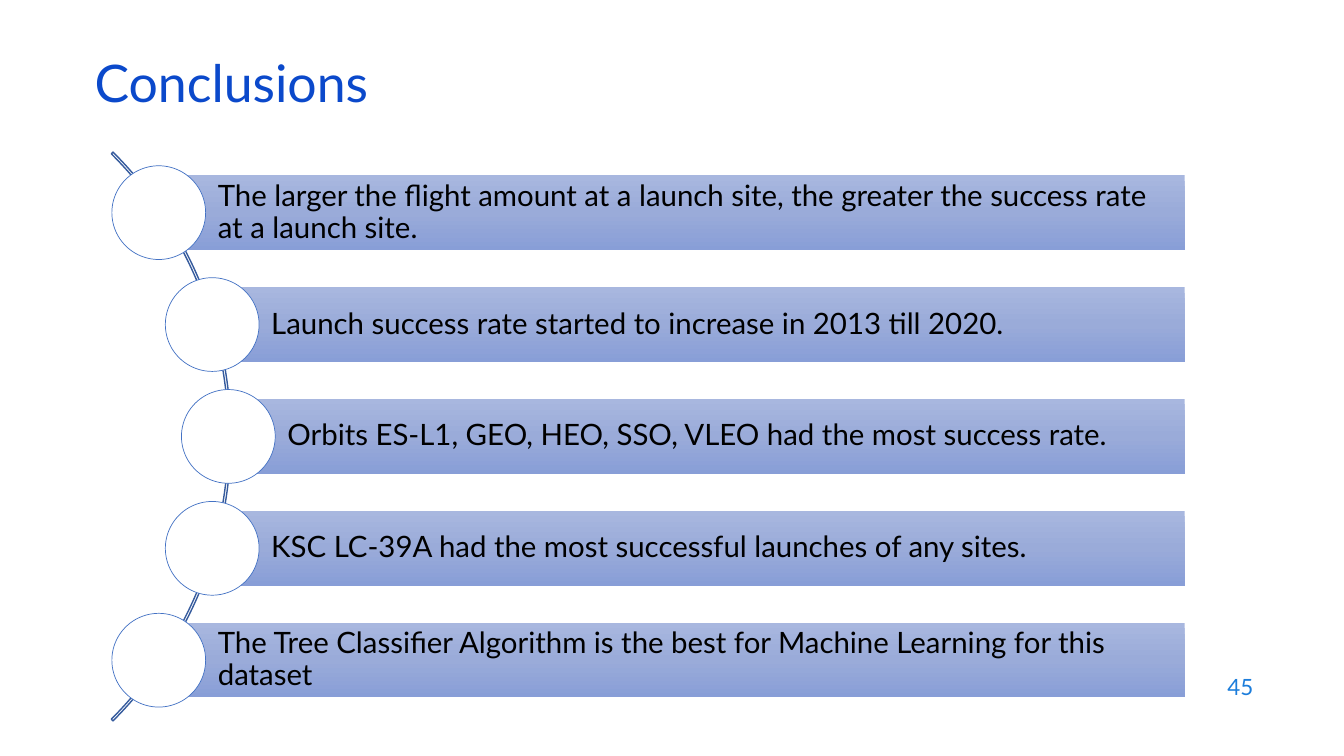
from copy import deepcopy
from typing import NamedTuple

from pptx import Presentation
from pptx.dml.color import RGBColor
from pptx.enum.shapes import MSO_SHAPE as SHAPE
from pptx.enum.text import MSO_ANCHOR as ANCHOR, PP_ALIGN as ALIGN
from pptx.oxml.ns import qn
from pptx.util import Inches, Pt

TITLE_BLUE = RGBColor(0x0B, 0x49, 0xCB)
NUMBER_BLUE = RGBColor(0x1C, 0x7D, 0xDB)
ARC_BLUE = RGBColor(0x36, 0x5B, 0x9D)
RING_BLUE = RGBColor(0x44, 0x72, 0xC4)
BAR_TOP = RGBColor(0xA8, 0xB7, 0xDF)
BAR_MIDDLE = RGBColor(0x9A, 0xAB, 0xD9)
BAR_BOTTOM = RGBColor(0x88, 0x9E, 0xD7)
WHITE = RGBColor(0xFF, 0xFF, 0xFF)
BLACK = RGBColor(0, 0, 0)

FONT = "Lato"
BAR_RIGHT, BAR_HEIGHT = 11.75, 0.74
FIRST_BAR, ROW_STEP = 1.74, 1.11
CIRCLE = 0.93
CIRCLE_OFFSET = 0.46  # circle's left edge, measured back from the bar


class Conclusion(NamedTuple):
    left: float
    text: str


CONCLUSIONS = [
    Conclusion(1.57, "The larger the flight amount at a launch site, "
                     "the greater the success rate at a launch site."),
    Conclusion(2.1, "Launch success rate started to increase in 2013 till 2020."),
    Conclusion(2.26, "Orbits ES-L1, GEO, HEO, SSO, VLEO had the most success rate."),
    Conclusion(2.1, "KSC LC-39A had the most successful launches of any sites."),
    Conclusion(1.57, "The Tree Classifier Algorithm is the best for "
                     "Machine Learning for this dataset"),
]


def set_text(s, text: str, size: float, color: RGBColor, spacing: float = 1.0,
             align=ALIGN.LEFT, **frame_format) -> None:
    tf = s.text_frame
    frame_format = {"word_wrap": True, "vertical_anchor": ANCHOR.MIDDLE, **frame_format}
    for name, value in frame_format.items():
        setattr(tf, name, value)
    p = tf.paragraphs[0]
    p.alignment, p.line_spacing = align, spacing
    r = p.add_run()
    r.text = text
    for name, value in {"name": FONT, "size": Pt(size)}.items():
        setattr(r.font, name, value)
    r.font.color.rgb = color


def add_shape(slide, kind, left: float, top: float, width: float, height: float):
    s = slide.shapes.add_shape(kind, *map(Inches, (left, top, width, height)))
    s.shadow.inherit = False
    return s


def set_line(s, color: RGBColor, width: float) -> None:
    s.line.color.rgb = color
    s.line.width = Pt(width)


def fill_gradient(s) -> None:
    fill = s.fill
    fill.gradient()
    fill.gradient_angle = 270
    stops = s._element.spPr.find(qn("a:gradFill")).find(qn("a:gsLst"))
    stops.insert(1, deepcopy(stops[0]))
    colors = (BAR_TOP, BAR_MIDDLE, BAR_BOTTOM)
    for i, (stop, color) in enumerate(zip(fill.gradient_stops, colors)):
        stop.position = i / 2
        stop.color.rgb = color


def add_conclusion(slide, row: int, item: Conclusion) -> None:
    top = FIRST_BAR + row * ROW_STEP
    bar = add_shape(slide, SHAPE.RECTANGLE, item.left, top,
                    BAR_RIGHT - item.left, BAR_HEIGHT)
    fill_gradient(bar)
    bar.line.fill.background()
    inset = Inches(0.06)
    set_text(bar, item.text, 21, BLACK, 0.9, margin_left=Inches(0.59),
             margin_top=inset, margin_right=inset, margin_bottom=inset)

    circle = add_shape(slide, SHAPE.OVAL, item.left - CIRCLE_OFFSET,
                       top + (BAR_HEIGHT - CIRCLE) / 2, CIRCLE, CIRCLE)
    circle.fill.solid()
    circle.fill.fore_color.rgb = WHITE
    set_line(circle, RING_BLUE, 0.5)


def main() -> None:
    prs = Presentation()
    prs.slide_width, prs.slide_height = Inches(13.33), Inches(7.5)
    slide = prs.slides.add_slide(prs.slide_layouts[6])

    # Slide number and title
    number = slide.shapes.add_textbox(*map(Inches, (9.53, 6.59, 3, 0.44)))
    set_text(number, "45", 16, NUMBER_BLUE, align=ALIGN.RIGHT)
    title = slide.shapes.add_textbox(*map(Inches, (0.84, 0.59, 11.5, 0.6)))
    set_text(title, "Conclusions", 37, TITLE_BLUE, 0.7)

    # Arc behind the circles, from 315 to 45 degrees
    arc = add_shape(slide, SHAPE.BLOCK_ARC, -5.69, 0.34, 7.98, 7.98)
    for i, value in enumerate((189, 27, 0.003)):
        arc.adjustments[i] = value
    arc.fill.background()
    set_line(arc, ARC_BLUE, 1)

    # Bars with their circles
    for row, item in enumerate(CONCLUSIONS):
        add_conclusion(slide, row, item)

    prs.save("out.pptx")


if __name__ == "__main__":
    main()
